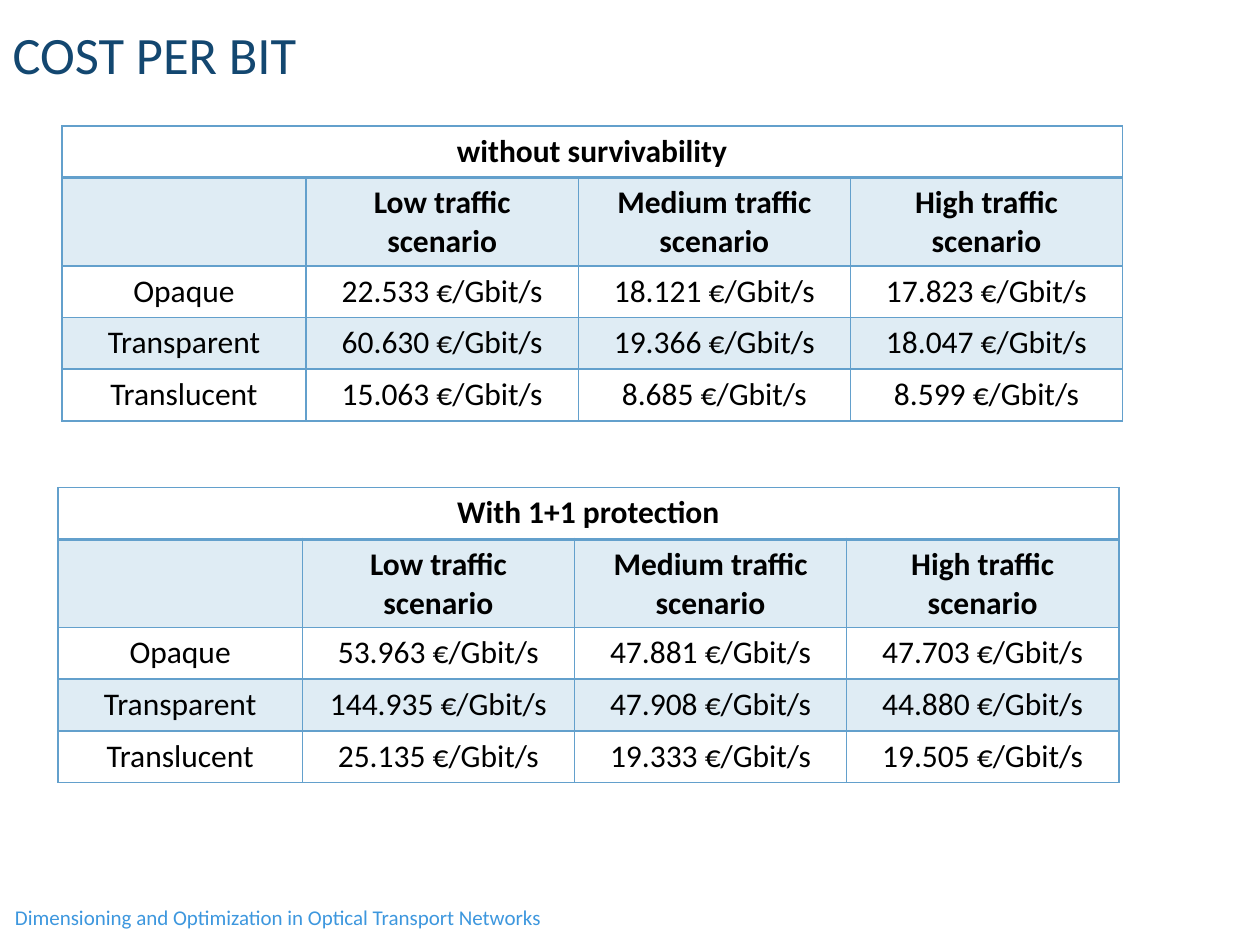
"""Build the cost per bit slide with its two cost tables."""
from dataclasses import dataclass

from lxml import etree
from pptx import Presentation
from pptx.dml.color import RGBColor
from pptx.enum.text import MSO_ANCHOR, PP_ALIGN
from pptx.oxml.ns import qn
from pptx.util import Inches, Pt

NAVY = RGBColor(0x13, 0x47, 0x70)
SKY = RGBColor(0x3D, 0x97, 0xDE)
STEEL = RGBColor(0x63, 0xA0, 0xCC)
BLACK = RGBColor(0, 0, 0)
FONT = "Calibri"
LEFT, CENTER = PP_ALIGN.LEFT, PP_ALIGN.CENTER
MIDDLE = MSO_ANCHOR.MIDDLE
COL_WIDTHS = (1.94, 2.16, 2.16, 2.16)
ROW_HEIGHT = 0.41
BAND_ALPHA = 20
HEADER = ("", "Low traffic scenario", "Medium traffic scenario", "High traffic scenario")
NETWORKS = ("Opaque", "Transparent", "Translucent")


@dataclass
class CostTable:
    title: str
    left: float
    top: float
    costs: tuple[tuple[str, ...], ...]


TABLES = (
    CostTable("without survivability", 0.49, 1, (
        ("22.533", "18.121", "17.823"),
        ("60.630", "19.366", "18.047"),
        ("15.063", "8.685", "8.599"),
    )),
    CostTable("With 1+1 protection", 0.46, 3.87, (
        ("53.963", "47.881", "47.703"),
        ("144.935", "47.908", "44.880"),
        ("25.135", "19.333", "19.505"),
    )),
)


def write(tf, text: str, size: float, color: RGBColor, align=LEFT, bold: bool = False) -> None:
    p = tf.paragraphs[0]
    p.alignment = align
    r = p.add_run()
    r.text = text
    r.font.name = FONT
    r.font.size = Pt(size)
    r.font.color.rgb = color
    r.font.bold = bold


def set_borders(cell, **widths: float) -> None:
    tc_pr = cell._tc.get_or_add_tcPr()
    for side in "LRTB":
        ln = etree.SubElement(tc_pr, qn(f"a:ln{side}"), w=str(Pt(widths.get(side, 1))))
        fill = etree.SubElement(ln, qn("a:solidFill"))
        etree.SubElement(fill, qn("a:srgbClr"), val=str(STEEL))


def set_band(cell, banded: bool) -> None:
    if not banded:
        cell.fill.background()
        return
    cell.fill.solid()
    cell.fill.fore_color.rgb = STEEL
    clr = cell._tc.tcPr.find(qn("a:solidFill")).find(qn("a:srgbClr"))
    etree.SubElement(clr, qn("a:alpha"), val=str(BAND_ALPHA * 1000))


def add_cost_table(s, data: CostTable) -> None:
    rows = [(data.title, "", "", ""), HEADER]
    for network, costs in zip(NETWORKS, data.costs):
        rows.append((network, *(f"{cost} €/Gbit/s" for cost in costs)))
    table = s.shapes.add_table(
        len(rows), len(COL_WIDTHS), Inches(data.left), Inches(data.top),
        Inches(sum(COL_WIDTHS)), Inches(ROW_HEIGHT * len(rows))).table
    table.first_row = table.horz_banding = False
    for col, width in zip(table.columns, COL_WIDTHS):
        col.width = Inches(width)
    for i, row in enumerate(rows):
        table.rows[i].height = Inches(ROW_HEIGHT)
        for j, text in enumerate(row):
            cell = table.cell(i, j)
            set_borders(cell, B=2 if i == 0 else 1, T=2 if i == 1 else 1)
            set_band(cell, i % 2 == 1)
            if text:
                write(cell.text_frame, text, 18, BLACK, CENTER, bold=i < 2)
    table.cell(0, 0).merge(table.cell(0, len(COL_WIDTHS) - 1))


def main() -> None:
    prs = Presentation()
    prs.slide_width, prs.slide_height = Inches(10), Inches(7.5)
    s = prs.slides.add_slide(prs.slide_layouts[5])

    title = s.shapes.title
    title.left, title.top = Inches(0), Inches(0.01)
    title.width, title.height = Inches(9), Inches(0.9)
    title.text_frame.vertical_anchor = MIDDLE
    write(title.text_frame, "COST PER BIT", 30, NAVY)
    title.text_frame.paragraphs[0].line_spacing = 0.9

    footer = s.shapes.add_textbox(Inches(0.02), Inches(7.05), Inches(6.28), Inches(0.46))
    tf = footer.text_frame
    tf.word_wrap = True
    tf.vertical_anchor = MIDDLE
    write(tf, "Dimensioning and Optimization in Optical Transport Networks", 12, SKY)

    for data in TABLES:
        add_cost_table(s, data)
    prs.save("out.pptx")


if __name__ == "__main__":
    main()
